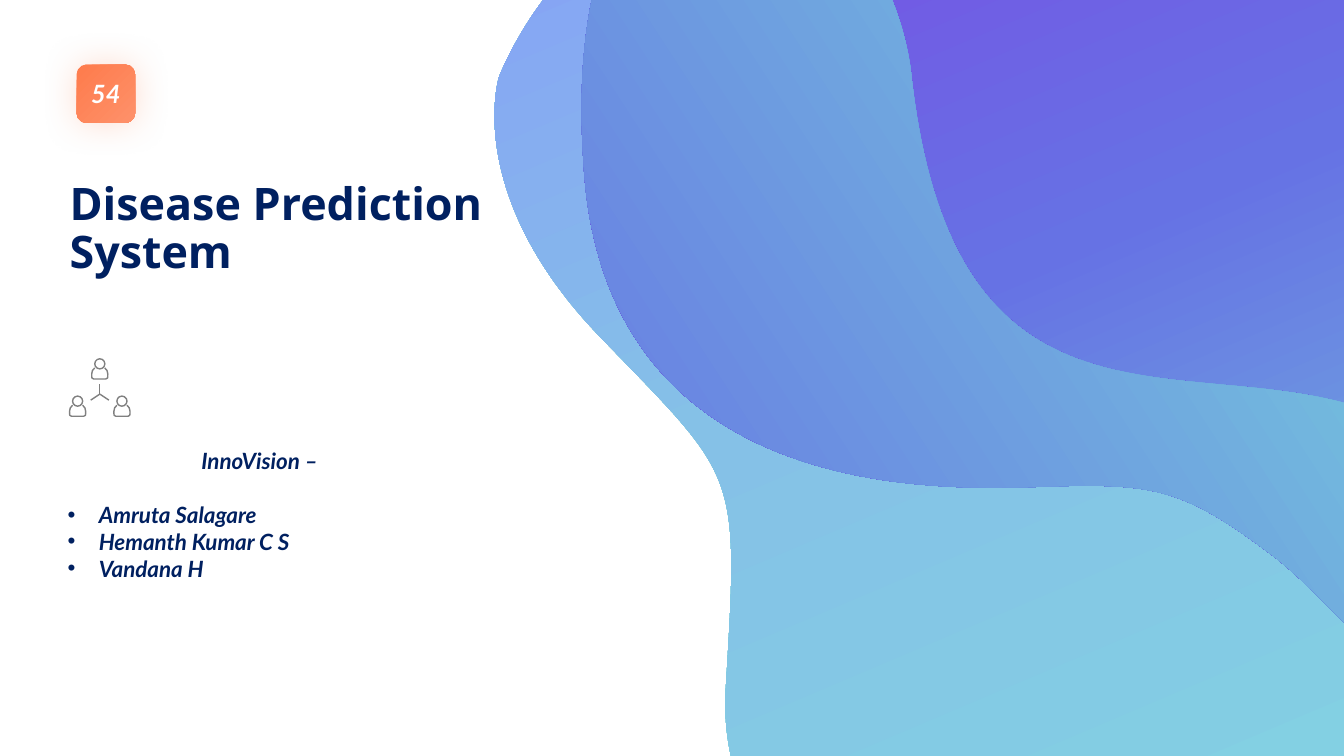
"""Title slide of the Disease Prediction System, with a team list and flowing colour waves."""
import math
from dataclasses import dataclass

from lxml import etree
from pptx import Presentation
from pptx import util as u
from pptx.dml.color import RGBColor
from pptx.enum import shapes, text
from pptx.oxml import ns

HEADLINE = "Disease Prediction System"
TEAM = "InnoVision –"
MEMBERS = ["Amruta Salagare", "Hemanth Kumar C S", "Vandana H"]
NUMBER = "54"
HEADLINE_BOX = (0.69, 1.8, 5.3, 1.08)
TEAM_BOX = (0.67, 4.44, 3.81, 1.35)
BADGE_BOX = (0.76, 0.64, 0.58, 0.58)


@dataclass(frozen=True)
class Theme:
    navy: str = "002060"
    white: str = "FFFFFF"
    grey: str = "808080"
    glow: str = "FE7B4C"
    badge: tuple = ((0, "FE7B4C"), (100, "FE916A"))
    mist: tuple = ((0, "80DEDE"), (54, "85C1E7"), (100, "878CFF"))
    violet: tuple = ((0, "7CEFD8"), (51, "6672E4"), (100, "882BE5"))
    band: tuple = ((0, "882BE5"), (19, "6672E4"), (100, "7CEFD8"))
    head_font: str = "Noto Sans"
    text_font: str = "Lato"
    head_size: int = 32
    number_size: int = 18
    text_size: int = 16
    icon_line: float = 1


THEME = Theme()
WAVE_TURN = 157
WAVES = [
    (THEME.mist, 90, [
        (9.2, 1.06), (9.71, 5.56), (12.9, 3.15), (14.67, 4.96), (16.45, 6.76), (15.81, 8.11),
        (15.28, 8.4), (14.75, 8.69), (14.29, 8.66), (13.75, 7.87), (13.2, 7.07), (11.53, 7.96),
        (10.38, 8.56), (9.24, 9.16), (7.06, 8.93), (7.2, 6.79), (7.33, 4.64), (7.32, 4.76),
        (5.95, 3.34), (4.58, 1.92), (4.95, 0.76), (4.95, 0.76), (4.95, 0.76), (5.68, -1.15),
        (7.37, -0.98), (9.07, -0.81), (9.2, 1.06), (9.2, 1.06)]),
    (THEME.violet, 90, [
        (7.32, -1.86), (7.32, -1.86), (5.56, -1.59), (5.79, 1.67), (6.01, 4.92), (9.18, 4.87),
        (10.31, 4.83), (11.44, 4.79), (11.72, 4.83), (12.62, 5.51), (13.52, 6.2), (14.13, 7.55),
        (15.28, 6.26), (16.43, 4.96), (14.26, 3.58), (13.96, 3.01), (13.66, 2.44), (14.22, 0.99),
        (13.71, 0.43), (13.21, -0.12), (12.86, -0.8), (10.49, -0.6), (10.49, -0.6),
        (9.33, -0.22), (8.44, -1.46), (8.44, -1.46), (7.88, -2.14), (7.32, -1.86)]),
    (THEME.band, 170, [
        (5.79, 1.67), (5.68, 0.19), (5.99, -0.67), (6.35, -1.18), (6.61, -1.27), (6.89, -1.3),
        (7.21, -1.28), (8.9, -1.11), (9.04, 0.76), (9.04, 0.76), (9.55, 5.26), (12.74, 2.85),
        (14.51, 4.66), (14.99, 5.14), (15.29, 5.6), (15.47, 6), (15.42, 6.09), (15.36, 6.17),
        (15.29, 6.25), (14.13, 7.55), (13.52, 6.2), (12.62, 5.51), (11.72, 4.83), (11.44, 4.79),
        (10.31, 4.83), (9.18, 4.87), (6.01, 4.92), (5.79, 1.67)]),
]
HEADS = [(0.99, 3.61), (0.77, 3.98), (1.21, 3.98)]
HEAD_RADIUS = 0.05
SHOULDERS = [
    (-0.05, 0.04), (-0.07, 0.06), (-0.08, 0.07), (-0.08, 0.1), (-0.08, 0.14), (-0.08, 0.15),
    (-0.06, 0.15), (-0.02, 0.15), (0.02, 0.15), (0.06, 0.15), (0.08, 0.15), (0.08, 0.14),
    (0.08, 0.1), (0.08, 0.07), (0.07, 0.06), (0.05, 0.04)]
HUB = (0.99, 3.91)
SPOKE_ENDS = [(0.99, 3.81), (0.9, 3.97), (1.08, 3.97)]


def place(shape, box):
    shape.left, shape.top, shape.width, shape.height = map(u.Inches, box)


def style(paragraph, font, size, color, italic):
    paragraph.font.name, paragraph.font.size = font, u.Pt(size)
    paragraph.font.bold, paragraph.font.italic = True, italic
    paragraph.font.color.rgb = RGBColor.from_string(color)


def prepare(frame):
    frame.margin_left = frame.margin_right = frame.margin_top = frame.margin_bottom = 0
    frame.word_wrap, frame.auto_size = True, text.MSO_AUTO_SIZE.NONE
    frame.vertical_anchor = text.MSO_ANCHOR.TOP


def gradient(shape, stops, angle):
    shape.fill.gradient()
    fill = shape._element.spPr.find(ns.qn("a:gradFill"))
    fill.find(ns.qn("a:lin")).set("ang", str(angle * 60000))
    stop_list = fill.find(ns.qn("a:gsLst"))
    stop_list.clear()
    for position, color in stops:
        stop = etree.SubElement(stop_list, ns.qn("a:gs"), pos=str(position * 1000))
        etree.SubElement(stop, ns.qn("a:srgbClr"), val=color)
    shape.line.fill.background()


def grey_line(shape):
    shape.line.color.rgb = RGBColor.from_string(THEME.grey)
    shape.line.width = u.Pt(THEME.icon_line)


def turn(point, degrees):
    cos, sin = math.cos(math.radians(degrees)), math.sin(math.radians(degrees))
    return point[0] * cos - point[1] * sin, point[0] * sin + point[1] * cos


def outline(slide, points, close):
    """Draw a chain of cubic curves whose ends are every third point."""
    corners = [(u.Inches(x), u.Inches(y)) for x, y in points]
    builder = slide.shapes.build_freeform(*corners[0])
    builder.add_line_segments(corners[1:], close=False)
    shape = builder.convert_to_shape()
    shape.shadow.inherit = False
    route = next(shape._element.iter(ns.qn("a:path")))
    segments = route.findall(ns.qn("a:lnTo"))
    for i in range(0, len(segments), 3):
        curve = etree.SubElement(route, ns.qn("a:cubicBezTo"))
        for segment in segments[i:i + 3]:
            curve.append(segment[0])
            route.remove(segment)
    if close:
        etree.SubElement(route, ns.qn("a:close"))
    return shape


def add_wave(slide, stops, angle, points):
    wave = outline(slide, [turn(p, -WAVE_TURN) for p in points], True)
    x, y = turn((wave.left + wave.width / 2, wave.top + wave.height / 2), WAVE_TURN)
    wave.left, wave.top = round(x - wave.width / 2), round(y - wave.height / 2)
    wave.rotation = WAVE_TURN
    gradient(wave, stops, angle)


def add_team_icon(slide):
    for x, y in HEADS:
        head = slide.shapes.add_shape(shapes.MSO_SHAPE.OVAL, 0, 0, 0, 0)
        place(head, (x - HEAD_RADIUS, y - HEAD_RADIUS, 2 * HEAD_RADIUS, 2 * HEAD_RADIUS))
        head.shadow.inherit = False
        body = outline(slide, [(x + dx, y + dy) for dx, dy in SHOULDERS], False)
        for part in (head, body):
            part.fill.background()
            grey_line(part)
    for end in SPOKE_ENDS:
        spoke = slide.shapes.add_connector(
            shapes.MSO_CONNECTOR.STRAIGHT, *map(u.Inches, HUB + end))
        grey_line(spoke)
        etree.SubElement(spoke._element.spPr, ns.qn("a:effectLst"))


def add_badge(slide):
    badge = slide.shapes.add_shape(shapes.MSO_SHAPE.ROUNDED_RECTANGLE, 0, 0, 0, 0)
    place(badge, BADGE_BOX)
    gradient(badge, THEME.badge, 45)
    badge.shadow.inherit = False
    effects = badge._element.spPr.find(ns.qn("a:effectLst"))
    glow = etree.SubElement(effects, ns.qn("a:outerShdw"), blurRad=str(u.Inches(0.35)), dist="0")
    color = etree.SubElement(glow, ns.qn("a:srgbClr"), val=THEME.glow)
    etree.SubElement(color, ns.qn("a:alpha"), val="25000")
    prepare(badge.text_frame)
    badge.text_frame.vertical_anchor = text.MSO_ANCHOR.MIDDLE
    number = badge.text_frame.paragraphs[0]
    number.text, number.alignment = NUMBER, text.PP_ALIGN.CENTER
    style(number, THEME.text_font, THEME.number_size, THEME.white, True)


def fill_headline(title):
    place(title, HEADLINE_BOX)
    prepare(title.text_frame)
    headline = title.text_frame.paragraphs[0]
    headline.text, headline.alignment = HEADLINE, text.PP_ALIGN.LEFT
    headline.line_spacing = 0.9
    style(headline, THEME.head_font, THEME.head_size, THEME.navy, False)


def fill_team(body):
    place(body, TEAM_BOX)
    prepare(body.text_frame)
    body.text_frame.text = "\n".join([TEAM] + MEMBERS)
    team, *members = body.text_frame.paragraphs
    for line in (team, *members):
        line.space_before = u.Pt(0)
        style(line, THEME.text_font, THEME.text_size, THEME.navy, True)
        indent = 0 if line is team else u.Inches(0.31)
        properties = line._p.get_or_add_pPr()
        properties.set("marL", str(indent))
        properties.set("indent", str(-indent))
    team.alignment, team.space_after = text.PP_ALIGN.CENTER, u.Pt(19)
    team._p.pPr.find(ns.qn("a:spcAft")).addnext(etree.Element(ns.qn("a:buNone")))


def main():
    deck = Presentation()
    deck.slide_width, deck.slide_height = u.Inches(13.33), u.Inches(7.5)
    slide = deck.slides.add_slide(deck.slide_layouts[1])
    fill_headline(slide.shapes.title)
    fill_team(slide.placeholders[1])
    add_badge(slide)
    add_team_icon(slide)
    for wave in WAVES:
        add_wave(slide, *wave)
    deck.save("out.pptx")


if __name__ == "__main__":
    main()
